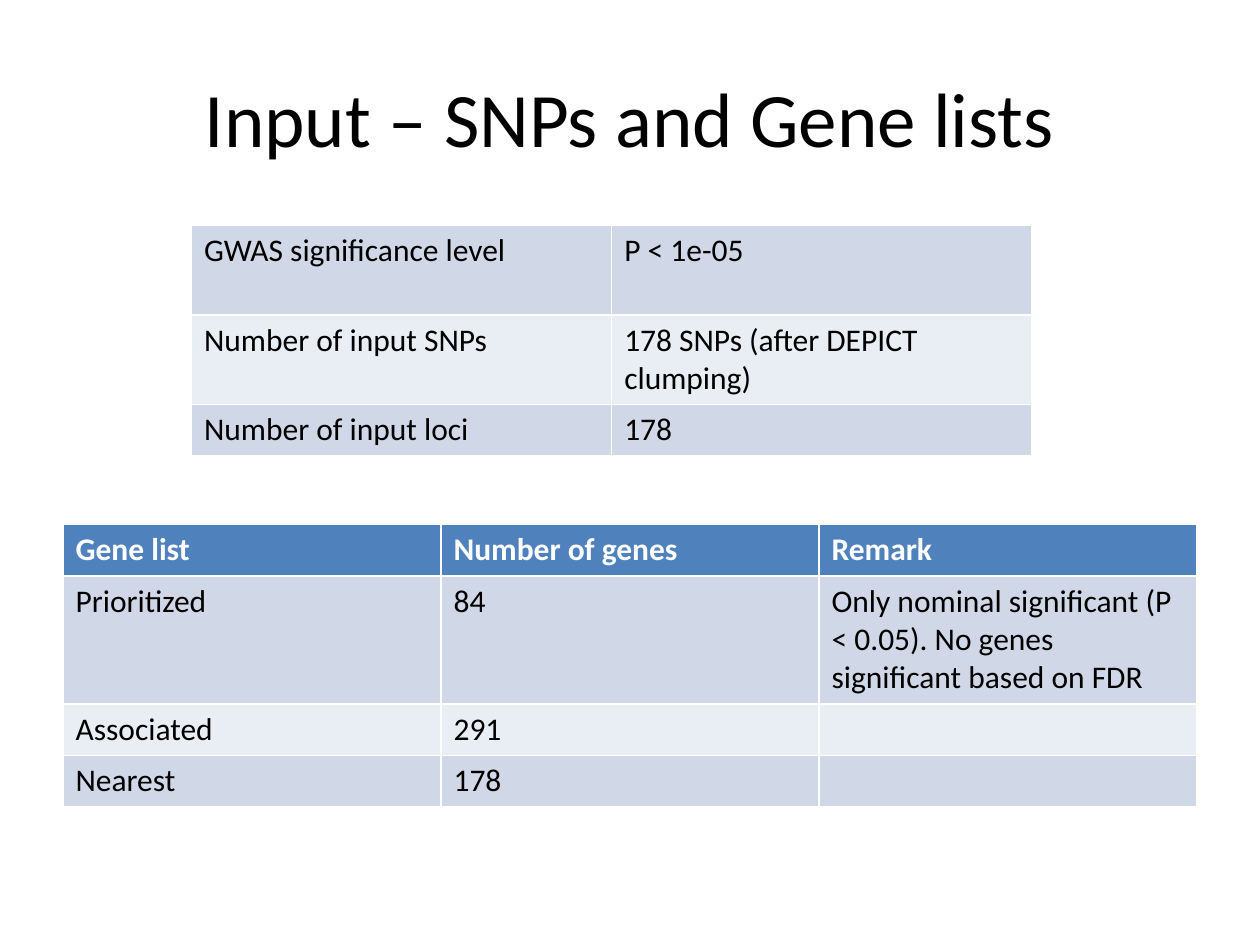
from dataclasses import dataclass

from pptx import Presentation
from pptx.dml.color import RGBColor as Color
from pptx.enum.text import MSO_ANCHOR as Anchor, PP_ALIGN as Align
from pptx.util import Inches, Pt


@dataclass(frozen=True)
class Theme:
    font: str = "Calibri"
    title_size: int = 44
    table_size: int = 18
    ink: str = "000000"
    white: str = "FFFFFF"
    header: str = "4F81BD"
    bands: tuple = ("D0D8E8", "E9EDF4")


theme = Theme()


def write(frame, text, size=theme.table_size, color=theme.ink, bold=False, align=Align.LEFT):
    para = frame.paragraphs[0]
    para.alignment = align
    para.font.size = Pt(size)
    if text:
        span = para.add_run()
        span.text = text
        span.font.name = theme.font
        span.font.size = Pt(size)
        span.font.bold = bold
        span.font.color.rgb = Color.from_string(color)


def add_grid(page, rows, left, top, width, heights, header):
    columns = len(rows[0])
    box = page.shapes.add_table(
        len(rows), columns, Inches(left), Inches(top), Inches(width), Inches(sum(heights))
    )
    table = box.table
    table.first_row = header
    for column in table.columns:
        column.width = Inches(width / columns)
    for index, (texts, height) in enumerate(zip(rows, heights)):
        table.rows[index].height = Inches(height)
        is_header = header and index == 0
        fill = theme.header if is_header else theme.bands[(index - header) % 2]
        for cell, text in zip(table.rows[index].cells, texts):
            cell.fill.solid()
            cell.fill.fore_color.rgb = Color.from_string(fill)
            color = theme.white if is_header else theme.ink
            write(cell.text_frame, text, color=color, bold=is_header)


deck = Presentation()
deck.slide_width, deck.slide_height = Inches(10), Inches(7.5)
page = deck.slides.add_slide(deck.slide_layouts[5])

title = page.shapes.title
title.left, title.top = Inches(0.5), Inches(0.3)
title.width, title.height = Inches(9), Inches(1.25)
title.text_frame.vertical_anchor = Anchor.MIDDLE
write(title.text_frame, "Input – SNPs and Gene lists", size=theme.title_size, align=Align.CENTER)

gene_lists = [
    ("Gene list", "Number of genes", "Remark"),
    (
        "Prioritized",
        "84",
        "Only nominal significant (P < 0.05). No genes significant based on FDR",
    ),
    ("Associated", "291", ""),
    ("Nearest", "178", ""),
]
add_grid(page, gene_lists, 0.5, 4.16, 9, (0.41, 1.01, 0.41, 0.41), header=True)

snp_input = [
    ("GWAS significance level", "P < 1e-05"),
    ("Number of input SNPs", "178 SNPs (after DEPICT clumping)"),
    ("Number of input loci", "178"),
]
add_grid(page, snp_input, 1.52, 1.79, 6.67, (0.71, 0.71, 0.41), header=False)

deck.save("out.pptx")
